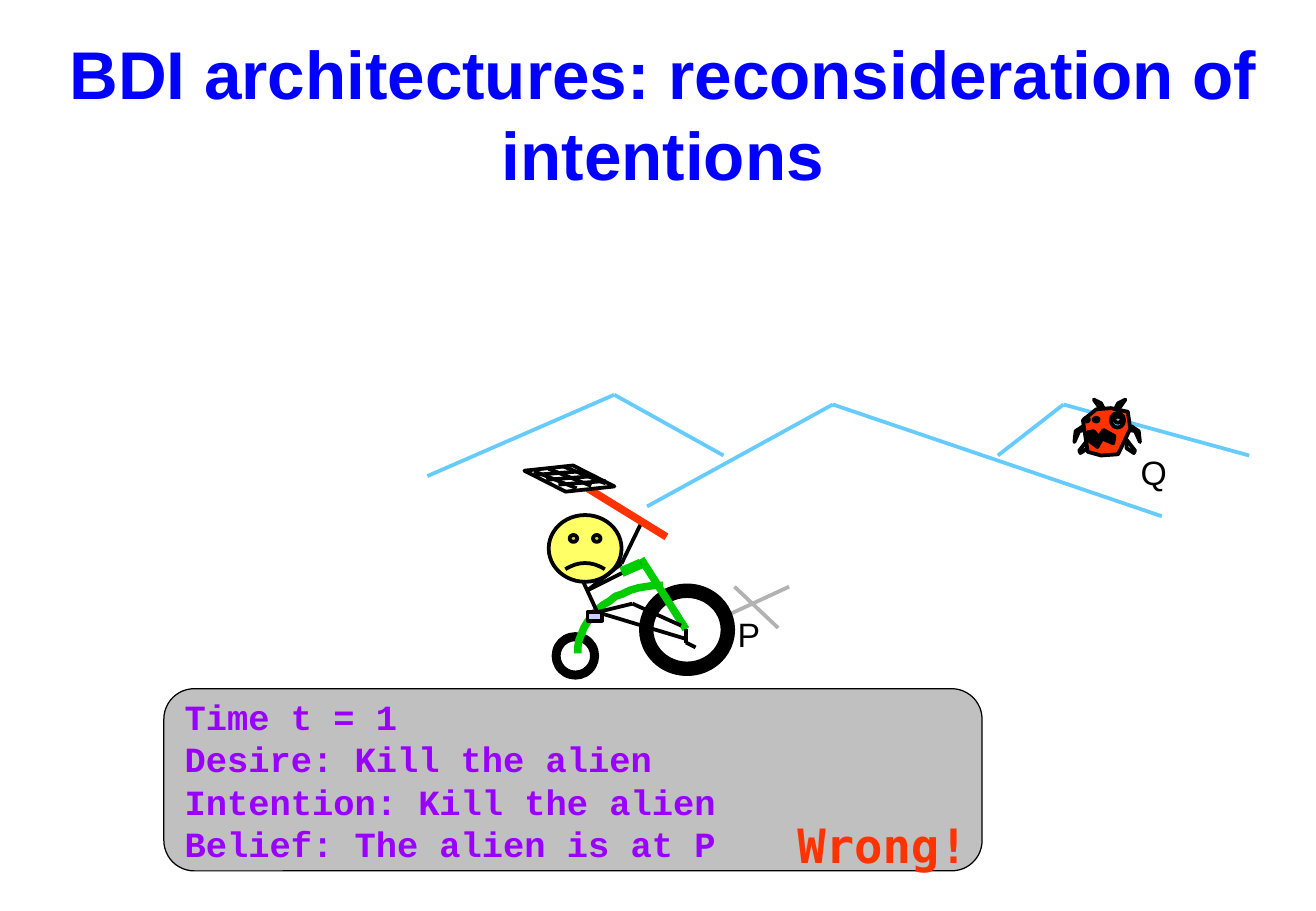
from itertools import pairwise
from math import cos, pi, sin

from lxml.etree import SubElement
from pptx import Presentation
from pptx.dml.color import RGBColor
from pptx.enum.shapes import MSO_CONNECTOR, MSO_SHAPE as Shape
from pptx.enum.text import MSO_ANCHOR as Anchor, MSO_AUTO_SIZE as AutoSize, PP_ALIGN as Align
from pptx.oxml.ns import qn
from pptx.util import Pt

PX = 9144  # 100 px to the inch
BLACK, GREY, SKY = "000000", "B2B2B2", "66CCFF"
GREEN, RED, TEAL = "00CC00", "FF3300", "00CC99"

HILLS = [[(352, 392), (506, 325), (596, 375)],
         [(533, 417), (686, 333), (957, 425)],
         [(822, 375), (876, 333), (1029, 375)]]

# Alien limbs on the left side, each with the axis that mirrors it
LIMBS = [(914, [(901, 329), (907, 332), (909, 336), (906, 336)]),
         (912, [(894, 354), (889, 355), (885, 364), (886, 355), (892, 351)]),
         (912, [(896, 362), (889, 371), (890, 373), (896, 369)])]
ALIEN_BODY = [(903, 337), (892, 346), (896, 372), (907, 375), (921, 374),
              (931, 353), (929, 339), (915, 336)]
MOUTH = [(896, 356), (901, 355), (905, 360), (909, 354), (918, 359), (917, 365),
         (908, 361), (904, 368), (896, 362)]


def rgb(code):
    return RGBColor.from_string(code)


def paint(item, fill, line, width):
    """Fill and outline a shape; a fill of None leaves it hollow."""
    item.shadow.inherit = False
    if fill:
        item.fill.solid()
        item.fill.fore_color.rgb = rgb(fill)
    else:
        item.fill.background()
    item.line.color.rgb = rgb(line)
    item.line.width = Pt(width)


def draw_lines(shapes, color, *stops, width=2.25):
    """Join each stop to the next with a straight line."""
    for start, end in pairwise(stops):
        stroke = shapes.add_connector(MSO_CONNECTOR.STRAIGHT,
                                      *(v * PX for v in start + end))
        stroke.line.color.rgb = rgb(color)
        stroke.line.width = Pt(width)
        SubElement(stroke._element.spPr, qn("a:effectLst"))


def draw_shape(shapes, kind, box, fill, width=2.25, adjust=None, turn=0):
    item = shapes.add_shape(kind, *(v * PX for v in box))
    paint(item, fill, BLACK, width)
    if adjust is not None:
        item.adjustments[0] = adjust
    item.rotation = turn
    return item


def draw_outline(shapes, points, fill, line=BLACK, width=2.25, close=True):
    builder = shapes.build_freeform(*points[0], scale=PX)
    builder.add_line_segments(points[1:], close=close)
    paint(builder.convert_to_shape(), fill, line, width)


def write(holder, lines, align, anchor, color, wrap=True, **font):
    frame = holder.text_frame
    frame.text = "\n".join(lines)
    layout = {"word_wrap": wrap, "auto_size": AutoSize.NONE, "vertical_anchor": anchor}
    for name, value in layout.items():
        setattr(frame, name, value)
    for paragraph in frame.paragraphs:
        paragraph.alignment = align
        for name, value in font.items():
            setattr(paragraph.font, name, value)
        paragraph.font.color.rgb = rgb(color)


def add_label(shapes, text, box, color, wrap=False, **font):
    label = shapes.add_textbox(*(v * PX for v in box))
    write(label, [text], Align.CENTER, Anchor.TOP, color, wrap, **font)


def draw_alien(shapes):
    for axis, limb in LIMBS:
        draw_outline(shapes, limb, GREY)
        draw_outline(shapes, [(2 * axis - x, y) for x, y in limb], GREY)
    draw_outline(shapes, ALIEN_BODY, RED)
    draw_outline(shapes, MOUTH, BLACK)
    # Large eye with its pupil, then the two small eyes
    for fill, *eye in [(SKY, 915, 340, 11, 12), (GREY, 918, 343, 6, 5),
                       (TEAL, 901, 344, 4, 3), (TEAL, 893, 344, 4, 3)]:
        draw_shape(shapes, Shape.OVAL, eye, fill)


def draw_rider(shapes):
    neck, hip, knee, pedal = (484, 486), (492, 504), (521, 497), (565, 529)
    hub, grip, elbow = (565, 518), (528, 464), (512, 464)
    draw_shape(shapes, Shape.SMILEY_FACE, (452, 424, 60, 55), "FFFF66", adjust=-0.047)
    # Tricycle: wheels, curved frame, fork
    for wheel in [(528, 482, 76, 73), (456, 522, 36, 36)]:
        draw_shape(shapes, Shape.DONUT, wheel, BLACK, adjust=0.12)
    steps = 16
    angles = [pi / 2 * step / steps for step in range(steps + 1)]
    curve = [(round(546 - 70 * cos(a)), round(538 - 56 * sin(a))) for a in angles]
    draw_outline(shapes, curve, None, GREEN, 4.5, close=False)
    draw_lines(shapes, GREEN, hub, (528, 460), width=4.5)
    # Body, legs, handlebar, saddle
    draw_lines(shapes, BLACK, (480, 478), hip, knee, (561, 515))
    draw_lines(shapes, BLACK, hip, (565, 526))
    draw_lines(shapes, BLACK, hub, pedal, (573, 533))
    draw_lines(shapes, BLACK, neck, grip)
    draw_lines(shapes, GREEN, grip, (512, 471), width=6)
    draw_shape(shapes, Shape.RECTANGLE, (484, 504, 12, 7), "CCCCFF")
    # Arm with swatter
    draw_lines(shapes, BLACK, neck, elbow, (528, 431))
    draw_lines(shapes, RED, (549, 442), (484, 402), width=4.5)
    draw_shape(shapes, Shape.PARALLELOGRAM, (433, 383, 72, 22), "FFFFFF",
               adjust=1.54, turn=26.9)
    for row in range(3):
        x, y = 440 + 12 * row, 388 - 2 * row
        draw_lines(shapes, BLACK, (x, y), (x + 35, y + 14))
        x, y = 440 + 10 * row, 391 + 4 * row
        draw_lines(shapes, BLACK, (x, y), (x + 39, y - 3))


def main():
    deck = Presentation()
    deck.slide_width, deck.slide_height = 1084 * PX, 750 * PX
    slide = deck.slides.add_slide(deck.slide_layouts[5])
    shapes = slide.shapes

    # Title
    title = shapes.title
    place = {"left": 30, "top": 21, "width": 1032, "height": 83}
    for name, value in place.items():
        setattr(title, name, value * PX)
    write(title, ["BDI architectures: reconsideration of intentions"], Align.CENTER,
          Anchor.TOP, "0000FF", name="Arial", size=Pt(40), bold=True)

    # Landscape with the alien at Q
    for hill in HILLS:
        draw_lines(shapes, SKY, *hill)
    place_font = {"name": "Arial", "size": Pt(20)}
    add_label(shapes, "P", (598, 500, 38, 44), BLACK, **place_font)
    draw_alien(shapes.add_group_shape().shapes)
    add_label(shapes, "Q", (930, 367, 41, 44), BLACK, **place_font)

    # Mental state of the agent
    state = draw_shape(shapes, Shape.ROUNDED_RECTANGLE, (135, 567, 674, 150), "C0C0C0",
                       width=0.75, adjust=0.167)
    write(state, ["Time t = 1", "Desire: Kill the alien", "Intention: Kill the alien",
                  "Belief: The alien is at P"], Align.LEFT, Anchor.MIDDLE, "9900FF",
          name="Courier New", size=Pt(21), bold=True)
    add_label(shapes, "Wrong!", (647, 667, 160, 57), RED, wrap=True,
              name="DejaVu Sans Mono", size=Pt(28), bold=True)

    # Cross at P and the agent on the tricycle
    draw_lines(shapes, GREY, (650, 483), (596, 508))
    draw_lines(shapes, GREY, (605, 483), (641, 517))
    draw_rider(shapes.add_group_shape().shapes)
    deck.save("out.pptx")


if __name__ == "__main__":
    main()
